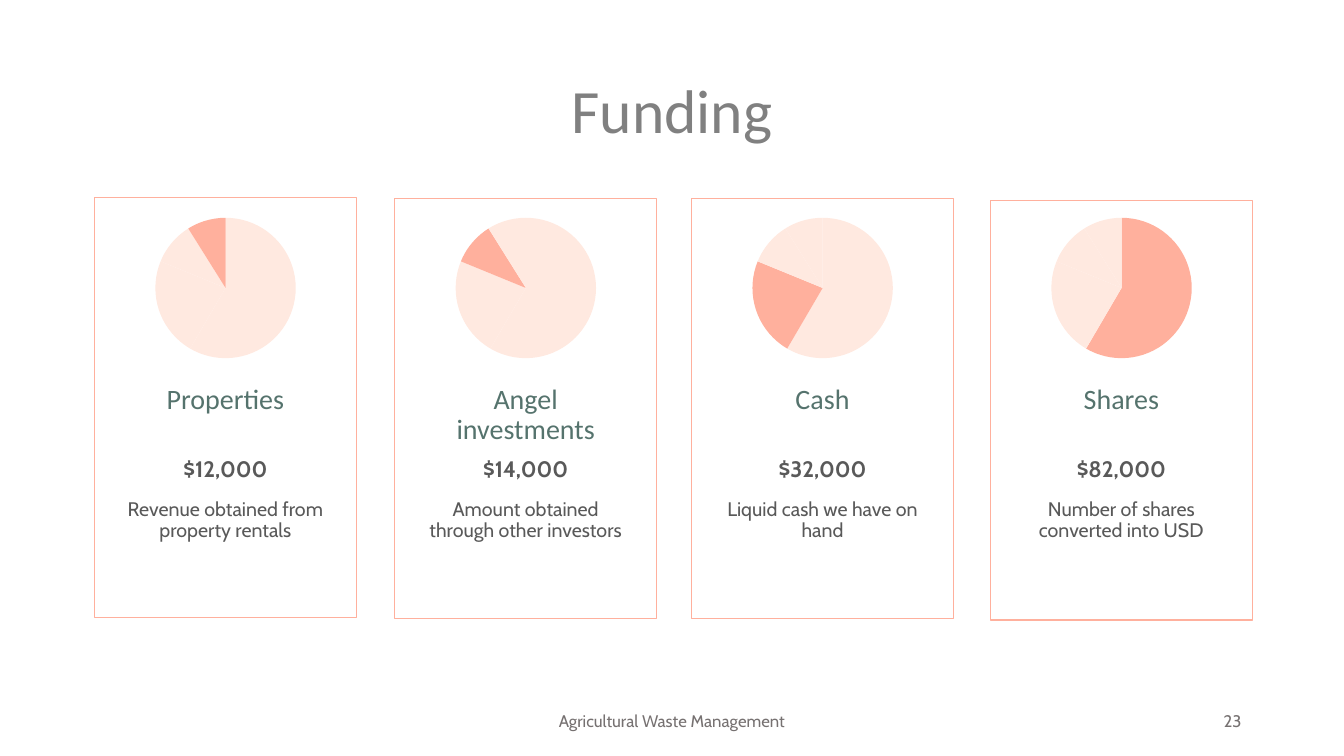
from lxml import etree
from pptx import Presentation
from pptx.chart.data import CategoryChartData
from pptx.dml.color import RGBColor
from pptx.enum.chart import XL_CHART_TYPE
from pptx.enum.shapes import MSO_SHAPE
from pptx.enum.text import MSO_ANCHOR, PP_ALIGN
from pptx.util import Pt

PIE = XL_CHART_TYPE.PIE
RECT = MSO_SHAPE.RECTANGLE
TOP, MIDDLE = MSO_ANCHOR.TOP, MSO_ANCHOR.MIDDLE
CENTER, RIGHT = PP_ALIGN.CENTER, PP_ALIGN.RIGHT

CORAL = RGBColor(0xFF, 0xB0, 0x9D)
BLUSH = RGBColor(0xFF, 0xE9, 0xE0)
GREEN = RGBColor(0x55, 0x73, 0x6D)
TITLE = RGBColor(0x80, 0x80, 0x80)
BODY = RGBColor(0x59, 0x59, 0x59)
FOOT = RGBColor(0x76, 0x71, 0x71)
BLACK = RGBColor(0, 0, 0)

deck = Presentation()
deck.slide_width, deck.slide_height = Pt(960), Pt(540)
slide = deck.slides.add_slide(deck.slide_layouts[6])


def add_text(text, left, top, width, height, size, color, face="Cabin",
             bold=False, align=CENTER, anchor=TOP, lines=0.9):
    box = slide.shapes.add_textbox(Pt(left), Pt(top), Pt(width), Pt(height))
    frame = box.text_frame
    frame.word_wrap = True
    frame.vertical_anchor = anchor
    para = frame.paragraphs[0]
    para.text = text
    para.alignment = align
    para.line_spacing = lines
    font = para.font
    font.name, font.size, font.bold = face, Pt(size), bold
    font.color.rgb = color


def add_pie(left, top, accent):
    data = CategoryChartData()
    data.categories = ["1", "2", "3", "4"]
    data.add_series("Series 1", [59, 23, 10, 9])
    frame = slide.shapes.add_chart(PIE, Pt(left), Pt(top), Pt(143.3), Pt(119.5), data)
    chart = frame.chart
    chart.has_legend = chart.has_title = False
    chart.font.name, chart.font.size = "Cabin", Pt(10)
    chart.font.color.rgb = BLACK
    plot = chart.plots[0]
    plot.vary_by_categories = False
    for slot in range(4):
        form = plot.series[0].points[slot].format
        form.fill.solid()
        form.fill.fore_color.rgb = CORAL if slot == accent else BLUSH
        form.line.fill.background()
    # Fix the size of the pie inside its frame
    area = chart._chartSpace.chart.plotArea
    ns = area.nsmap["c"]
    for old in area.findall(f"{{{ns}}}layout"):
        area.remove(old)
    area.insert(0, etree.fromstring(
        f'<c:layout xmlns:c="{ns}"><c:manualLayout><c:layoutTarget val="inner"/>'
        '<c:xMode val="edge"/><c:yMode val="edge"/><c:x val="0.15"/><c:y val="0.08"/>'
        '<c:w val="0.7"/><c:h val="0.84"/></c:manualLayout></c:layout>'))


# Title
add_text("Funding", 66, 29, 828, 104, 44, TITLE, "Calibri", anchor=MIDDLE)

# Cards: left, top, accent slice, name, amount, detail
cards = [
    (67.5, 141, 3, "Properties", "$12,000", "Revenue obtained from property rentals"),
    (282, 142, 2, "Angel investments", "$14,000", "Amount obtained through other investors"),
    (494, 142, 1, "Cash", "$32,000", "Liquid cash we have on hand"),
    (707.5, 143, 0, "Shares", "$82,000", "Number of shares converted into USD"),
]
for left, top, accent, name, amount, detail in cards:
    card = slide.shapes.add_shape(RECT, Pt(left), Pt(top), Pt(187), Pt(300))
    card.shadow.inherit = False
    card.fill.background()
    card.line.color.rgb = CORAL
    card.line.width = Pt(1)
    add_pie(left + 22, 146, accent)
    inner = left + 12.5
    add_text(name, inner, 271.5, 162, 50, 20, GREEN, "Calibri")
    add_text(amount, inner, 324, 162, 29, 16, BODY, bold=True)
    add_text(detail, inner, 353, 162, 72, 14, BODY)

# Footer
add_text("Agricultural Waste Management", 318, 500.5, 324, 29, 12, FOOT,
         anchor=MIDDLE, lines=1.0)
add_text("23", 678, 500.5, 216, 29, 12, FOOT, align=RIGHT, anchor=MIDDLE, lines=1.0)

deck.save("out.pptx")
